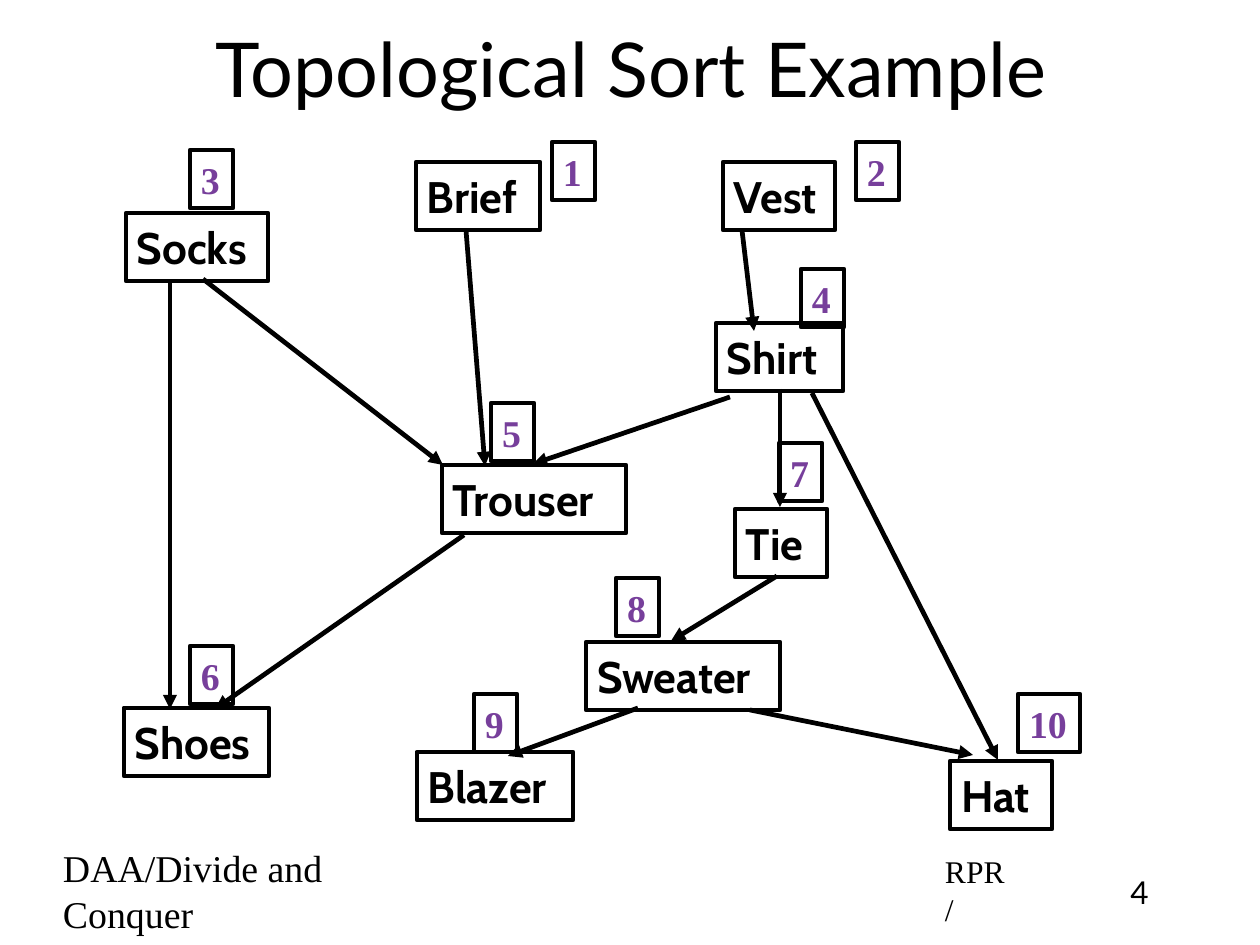
from lxml import etree
from pptx import Presentation
from pptx.dml.color import RGBColor
from pptx.enum.shapes import MSO_CONNECTOR, MSO_SHAPE
from pptx.enum.text import MSO_ANCHOR, PP_ALIGN
from pptx.oxml.ns import qn
from pptx.util import Emu, Pt

EMU_PER_PIXEL = 914400 / 113.4
BLACK = RGBColor(0x00, 0x00, 0x00)
PURPLE = RGBColor(0x77, 0x3F, 0x9B)
TITLE_FONT, NODE_FONT, SERIF_FONT = "Lato", "Cabin", "Times New Roman"
LINE_WIDTH = Pt(3)
NODE_HEIGHT, RANK_HEIGHT = 68, 58

# Garment: left, top, width
GARMENTS = {
    "Brief": (416, 162, 124),
    "Shoes": (124, 708, 145),
    "Vest": (723, 162, 112),
    "Shirt": (716, 323, 127),
    "Trouser": (442, 465, 184),
    "Tie": (735, 509, 92),
    "Blazer": (417, 752, 156),
    "Hat": (950, 761, 102),
    "Socks": (126, 213, 142),
    "Sweater": (586, 642, 194),
}

# Position in the sorted order: left, top, width
RANKS = {
    "1": (552, 142, 43),
    "2": (856, 142, 43),
    "3": (190, 150, 43),
    "4": (801, 269, 43),
    "5": (491, 403, 43),
    "6": (190, 646, 43),
    "7": (779, 443, 43),
    "8": (616, 578, 43),
    "9": (474, 694, 43),
    "10": (1018, 694, 62),
}

# Dependency: start x, start y, end x, end y
DEPENDENCIES = {
    ("Socks", "Trouser"): (203, 279, 443, 465),
    ("Brief", "Trouser"): (466, 230, 485, 466),
    ("Shirt", "Trouser"): (730, 397, 533, 464),
    ("Socks", "Shoes"): (170, 280, 170, 709),
    ("Vest", "Shirt"): (742, 230, 754, 331),
    ("Trouser", "Shoes"): (464, 535, 215, 709),
    ("Shirt", "Tie"): (780, 389, 780, 507),
    ("Shirt", "Hat"): (812, 393, 998, 760),
    ("Tie", "Sweater"): (777, 576, 671, 641),
    ("Sweater", "Blazer"): (638, 708, 508, 756),
    ("Sweater", "Hat"): (750, 710, 973, 755),
}


def px(pixels):
    return Emu(round(pixels * EMU_PER_PIXEL))


def set_text(shape, text, font_name, size, color=BLACK, bold=False,
             align=PP_ALIGN.LEFT, anchor=MSO_ANCHOR.MIDDLE, left=11, right=0):
    frame = shape.text_frame
    frame.word_wrap = True
    frame.vertical_anchor = anchor
    frame.margin_left, frame.margin_right = px(left), px(right)
    frame.margin_top = frame.margin_bottom = px(7)
    frame.text = text
    paragraph = frame.paragraphs[0]
    paragraph.alignment = align
    font = paragraph.font
    font.name, font.size, font.bold = font_name, Pt(size), bold
    font.color.rgb = color


def add_box(slide, text, place, height, font_name, size, color):
    left, top, width = place
    shape = slide.shapes.add_shape(
        MSO_SHAPE.RECTANGLE, px(left), px(top), px(width), px(height))
    shape.shadow.inherit = False
    shape.fill.background()
    shape.line.color.rgb = BLACK
    shape.line.width = LINE_WIDTH
    set_text(shape, text, font_name, size, color, bold=True)


def add_arrow(slide, points):
    connector = slide.shapes.add_connector(
        MSO_CONNECTOR.STRAIGHT, *(px(value) for value in points))
    connector.line.color.rgb = BLACK
    connector.line.width = LINE_WIDTH
    properties = connector.line._get_or_add_ln()
    etree.SubElement(properties, qn("a:tailEnd"), type="triangle")
    etree.SubElement(connector._element.spPr, qn("a:effectLst"))


def add_label(slide, text, place, font_name, size, **layout):
    box = slide.shapes.add_textbox(*(px(value) for value in place))
    set_text(box, text, font_name, size, **layout)


def main():
    presentation = Presentation()
    presentation.slide_width, presentation.slide_height = px(1260), px(945)
    slide = presentation.slides.add_slide(presentation.slide_layouts[5])

    # Title
    title = slide.shapes.title
    title.left, title.top, title.width, title.height = (
        px(94), px(8), px(1070), px(118))
    set_text(title, "Topological Sort Example", TITLE_FONT, 48,
             align=PP_ALIGN.CENTER, right=7)

    # Footer
    add_label(slide, "DAA/Divide and Conquer", (52, 864, 418, 53),
              SERIF_FONT, 24, right=60)
    add_label(slide, "RPR/", (934, 866, 87, 48), SERIF_FONT, 20, right=12)
    add_label(slide, "4", (1102, 866, 75, 48), TITLE_FONT, 20,
              align=PP_ALIGN.CENTER, anchor=MSO_ANCHOR.TOP, left=7, right=7)

    # Dependency graph
    for name, place in GARMENTS.items():
        add_box(slide, name, place, NODE_HEIGHT, NODE_FONT, 28, BLACK)
    for points in DEPENDENCIES.values():
        add_arrow(slide, points)

    # Sorted order
    for rank, place in RANKS.items():
        add_box(slide, rank, place, RANK_HEIGHT, SERIF_FONT, 24, PURPLE)

    presentation.save("out.pptx")


main()
